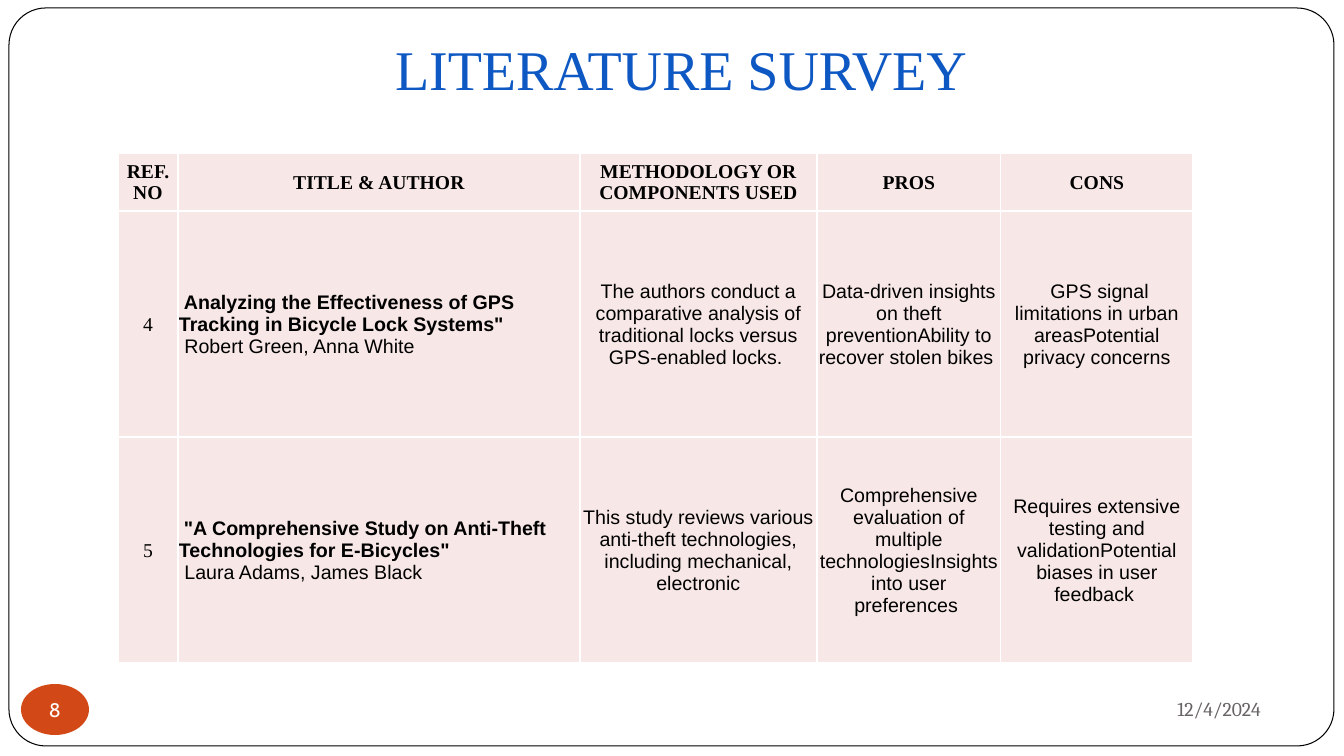
"""Build the literature survey slide with its table of two references."""
from pptx import Presentation
from pptx.dml.color import RGBColor
from pptx.enum.shapes import MSO_SHAPE as SHAPE
from pptx.enum.text import MSO_ANCHOR as ANCHOR, PP_ALIGN as ALIGN
from pptx.oxml import parse_xml
from pptx.oxml.ns import nsdecls
from pptx.util import Pt

PX = 9144000 / 1008
SERIF, SANS = "Times New Roman", "Arial"


def rgb(color):
    return RGBColor.from_string(color)


def write(tf, paragraphs, align, **margins):
    for name, value in margins.items():
        setattr(tf, "margin_" + name, round(value * PX))
    tf.word_wrap = True
    for i, runs in enumerate(paragraphs):
        p = tf.paragraphs[0] if i == 0 else tf.add_paragraph()
        p.alignment = align
        for text, font, size, color, bold in runs:
            r = p.add_run()
            r.text = text
            formats = {"name": font, "size": Pt(size), "bold": bold}
            for name, value in formats.items():
                setattr(r.font, name, value)
            r.font.color.rgb = rgb(color)


prs = Presentation()
prs.slide_width, prs.slide_height = round(1344 * PX), round(756 * PX)
s = prs.slides.add_slide(prs.slide_layouts[6])

frame_box = [round(v * PX) for v in (9, 8, 1325, 738)]
frame = s.shapes.add_shape(SHAPE.ROUNDED_RECTANGLE, *frame_box)
frame.adjustments[0] = 0.05
frame.shadow.inherit = False
frame.fill.solid()
frame.fill.fore_color.rgb = rgb("FFFFFF")
frame.line.color.rgb = rgb("000000")
frame.line.width = Pt(0.75)

texts = [
    ((907, 683, 364, 52), "12/4/2024", "Cambria", 14, "696464", ALIGN.RIGHT, ANCHOR.MIDDLE, 5),
    ((110, 19, 1142, 93), "LITERATURE SURVEY", SERIF, 40, "0E58C4", ALIGN.CENTER, ANCHOR.BOTTOM, 10),
]
for box, text, font, size, color, align, anchor, bottom in texts:
    tf = s.shapes.add_textbox(*[round(v * PX) for v in box]).text_frame
    tf.vertical_anchor = anchor
    write(tf, [[(text, font, size, color, False)]], align, left=10, top=5, right=10, bottom=bottom)

columns = [60, 402, 237, 184, 192]
rows = [58, 226, 226]
headers = ["REF. NO", "TITLE & AUTHOR", "METHODOLOGY OR COMPONENTS USED", "PROS", "CONS"]
references = [
    ("4", 'Analyzing the Effectiveness of GPS Tracking in Bicycle Lock Systems"',
     " Robert Green, Anna White",
     "The authors conduct a comparative analysis of traditional locks versus GPS-enabled locks. ",
     "Data-driven insights on theft preventionAbility to recover stolen bikes ",
     " GPS signal limitations in urban areasPotential privacy concerns"),
    ("5", '"A Comprehensive Study on Anti-Theft Technologies for E-Bicycles"',
     " Laura Adams, James Black",
     "This study reviews various anti-theft technologies, including mechanical, electronic",
     "Comprehensive evaluation of multiple technologiesInsights into user preferences ",
     "Requires extensive testing and validationPotential biases in user feedback "),
]
grid = [[[[(header, SERIF, 14, "000000", True)]] for header in headers]]
for number, title, authors, *details in references:
    grid.append([
        [[(number, SERIF, 14, "000000", False)]],
        [[(" ", SERIF, 14, "000000", False), (title, SANS, 14, "000000", True)],
         [(authors, SANS, 14, "000000", False)]],
        *[[[(detail, SANS, 14, "000000", False)]] for detail in details],
    ])

table_box = [round(v * PX) for v in (118, 153, sum(columns), sum(rows))]
table = s.shapes.add_table(len(rows), len(columns), *table_box).table
table.first_row = table.horz_banding = False
for column, width in zip(table.columns, columns):
    column.width = round(width * PX)
for row, height in zip(table.rows, rows):
    row.height = round(height * PX)

for i, line in enumerate(grid):
    for j, paragraphs in enumerate(line):
        cell = table.cell(i, j)
        for side in ("lnL", "lnR", "lnT", "lnB"):
            cell._tc.get_or_add_tcPr().append(parse_xml(
                f'<a:{side} {nsdecls("a")} w="12700"><a:solidFill>'
                f'<a:srgbClr val="FFFFFF"/></a:solidFill></a:{side}>'))
        cell.fill.solid()
        cell.fill.fore_color.rgb = rgb("F7E8E7")
        cell.vertical_anchor = ANCHOR.MIDDLE
        for name, value in {"left": 1, "top": 1, "right": 1, "bottom": 0}.items():
            setattr(cell, "margin_" + name, round(value * PX))
        write(cell.text_frame, paragraphs, ALIGN.LEFT if i and j == 1 else ALIGN.CENTER)

badge = s.shapes.add_shape(SHAPE.OVAL, *[round(v * PX) for v in (21, 684, 68, 51)])
badge.shadow.inherit = False
badge.fill.solid()
badge.fill.fore_color.rgb = rgb("D34817")
badge.line.fill.background()
badge.text_frame.vertical_anchor = ANCHOR.MIDDLE
write(badge.text_frame, [[("8", "Cabin", 14, "FFFFFF", False)]], ALIGN.CENTER,
      left=0, top=0, right=0, bottom=0)

prs.save("out.pptx")
